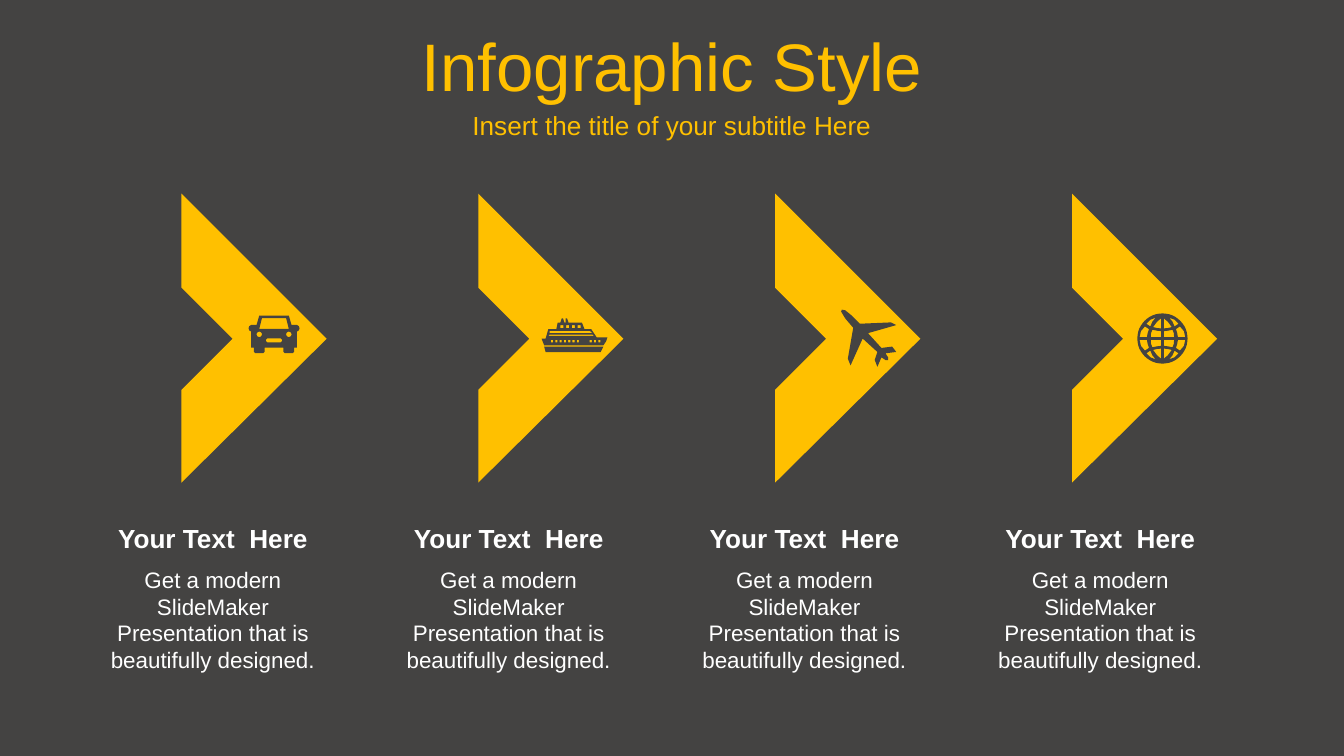
from math import cos, pi, sin

from pptx import Presentation
from pptx.dml.color import RGBColor
from pptx.enum.text import MSO_ANCHOR, MSO_AUTO_SIZE, PP_ALIGN
from pptx.util import Cm, Pt

YELLOW, GREY, WHITE = "FFC000", "444342", "FFFFFF"

TITLE = "Infographic Style"
SUBTITLE = "Insert the title of your subtitle Here"
HEADING = "Your Text  Here"
DETAIL = "Get a modern SlideMaker Presentation that is beautifully designed."

STEPS = 4
CHEVRON_LEFT, CHEVRON_TOP, CHEVRON_STEP = 3.43, 3.66, 5.61
TEXT_LEFT, TEXT_STEP, TEXT_WIDTH = 1.5, 5.59, 5.05
TEXT_ROWS = [
    (DETAIL, 10.57, 2.31, {"size": Pt(12), "bold": False}),
    (HEADING, 9.75, 0.86, {"size": Pt(14), "bold": True}),
]


def mirror(half):
    return half + [(-x, y) for x, y in reversed(half)]


def circle(x, y, radius, count=48):
    angles = [2 * pi * i / count for i in range(count)]
    return [(x + radius * cos(a), y + radius * sin(a)) for a in angles]


def rectangle(x, y, width, height):
    return [(x, y), (x + width, y), (x + width, y + height), (x, y + height)]


CHEVRON = [[(0, 0), (108, 108), (0, 215), (0, 146), (38, 108), (0, 70)]]

CAR = [
    mirror([(11, -14), (13, -7), (17, -7), (18.5, -6), (19, -4.5), (18.5, -3),
            (17, -2), (17, 10), (15, 10), (15, 13), (14, 14), (8, 14),
            (7, 13), (7, 10)]),
    mirror([(9, -12), (11, -4)]),
    mirror([(5, 3), (6, 4), (6, 5), (5, 6)]),
    circle(-11, 0, 2),
    circle(11, 0, 2),
]

SHIP = [
    [(-23, 8), (21, 8), (19, 12), (-22, 12)],
    [(-6, -13), (-5, -10), (5, -10), (7, -5), (12, -5), (16, 1), (24, 1),
     (23, 4), (21, 7), (-23, 7), (-25, 2), (-22, 2), (-20, -5), (-14, -5),
     (-13, -10), (-11, -10), (-10, -13), (-9, -13), (-8, -10), (-7, -10),
     (-7, -13)],
    [(-19, -3.7), (11, -3.7), (13, -2), (-19, -2)],
    [(-19, -1), (13, -1), (14, 0), (-20, 0)],
]
SHIP += [rectangle(-18 + 3.2 * i, 3, 1.6, 1.8) for i in (0, 1, 2, 3, 4, 5, 6, 9, 10, 11)]
SHIP += [rectangle(-11 + 4.3 * i, -8, 2.2, 2.2) for i in range(4)]

PLANE = [[
    (20, 10), (12, 11), (14, 14), (14, 16), (12, 16), (9, 14), (6, 21),
    (4, 16), (6, 10), (-5, 0), (-14, 20), (-16, 15), (-12, -8), (-18, -15),
    (-21, -20), (-20.5, -21.5), (-18, -21), (-13, -17), (-7, -11), (16, -12),
    (20, -10), (-1, -4), (9, 7), (17, 6),
]]

GLOBE_PANES = [
    [(9, 9), (7.5, 12.5), (5, 15.5), (9, 14), (12, 11)],
    [(1, 7.5), (1, 15), (4, 12.5), (7, 8.5), (4, 7.8)],
    [(11.5, 1), (11, 4), (10, 7), (13, 9), (16, 5.5), (17, 1)],
    [(1, 1), (1, 5.5), (4, 5.8), (7.5, 6.5), (8.5, 4), (8.7, 1)],
]
GLOBE = [circle(0, 0, 18.7)] + [
    [(x * across, y * down) for x, y in pane]
    for pane in GLOBE_PANES for across in (-1, 1) for down in (-1, 1)
]

ICONS = [
    (CAR, 5.18, 6.32),
    (SHIP, 10.87, 6.35),
    (PLANE, 16.43, 6.4),
    (GLOBE, 21.97, 6.4),
]


def colour(value):
    return RGBColor.from_string(value)


def draw(page, contours, x, y, fill):
    builder = None
    for contour in contours:
        points = [(10 * across, 10 * down) for across, down in contour]
        if builder is None:
            builder = page.shapes.build_freeform(*points[0], scale=Cm(2.54) / 1000)
        else:
            builder.move_to(*points[0])
        builder.add_line_segments(points[1:], close=True)
    shape = builder.convert_to_shape(Cm(x), Cm(y))
    shape.shadow.inherit = False
    shape.fill.solid()
    shape.fill.fore_color.rgb = colour(fill)
    shape.line.fill.background()


def write(box, text, font, ink, frame_format):
    frame = box.text_frame
    for name, value in {"word_wrap": True, **frame_format}.items():
        setattr(frame, name, value)
    para = frame.paragraphs[0]
    para.alignment = PP_ALIGN.CENTER
    span = para.add_run()
    span.text = text
    for name, value in {"name": "Arial", **font}.items():
        setattr(span.font, name, value)
    span.font.color.rgb = colour(ink)
    return para


def place(box, left, top, width, height):
    for name, value in zip(("left", "top", "width", "height"), (left, top, width, height)):
        setattr(box, name, Cm(value))


def main():
    deck = Presentation()
    deck.slide_width, deck.slide_height = Cm(25.4), Cm(14.29)
    page = deck.slides.add_slide(deck.slide_layouts[0])
    page.background.fill.solid()
    page.background.fill.fore_color.rgb = colour(GREY)

    title, subtitle = page.placeholders
    middle = {"vertical_anchor": MSO_ANCHOR.MIDDLE, "auto_size": MSO_AUTO_SIZE.NONE}
    place(title, 0, 0.43, 25.4, 1.6)
    write(title, TITLE, {"size": Pt(36)}, YELLOW, middle).space_before = Pt(5)
    place(subtitle, 0, 1.96, 25.4, 0.79)
    write(subtitle, SUBTITLE, {"size": Pt(14)}, YELLOW, middle)

    for step in range(STEPS):
        draw(page, CHEVRON, CHEVRON_LEFT + step * CHEVRON_STEP, CHEVRON_TOP, YELLOW)
        for text, top, height, font in TEXT_ROWS:
            left = TEXT_LEFT + step * TEXT_STEP
            box = page.shapes.add_textbox(Cm(left), Cm(top), Cm(TEXT_WIDTH), Cm(height))
            write(box, text, font, WHITE, {"auto_size": MSO_AUTO_SIZE.SHAPE_TO_FIT_TEXT})

    for contours, x, y in ICONS:
        draw(page, contours, x, y, GREY)

    deck.save("out.pptx")


if __name__ == "__main__":
    main()
